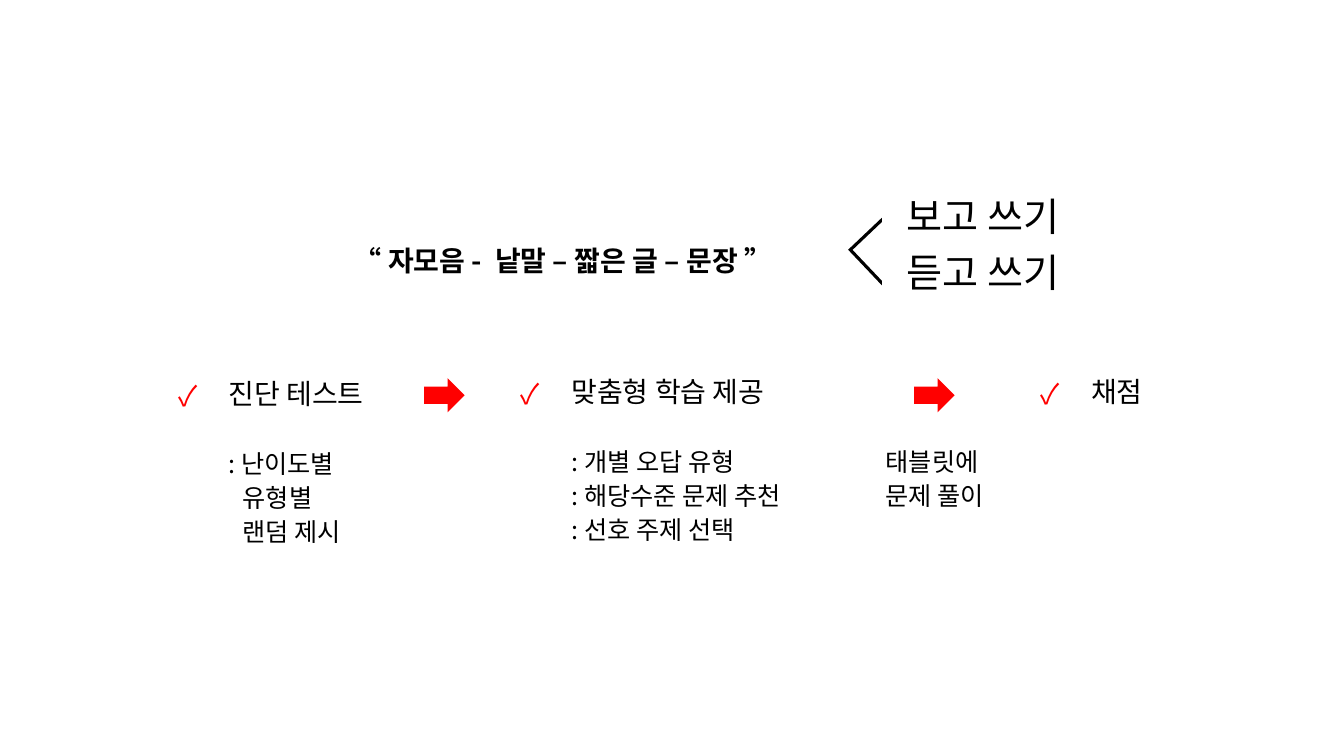
import pptx
import pptx.util
import pptx.dml.color
import pptx.enum.shapes
import pptx.enum.text
import pptx.oxml.ns
import lxml.etree

Cm, Pt = pptx.util.Cm, pptx.util.Pt
FONT, BLACK, RED = "Noto Sans CJK KR", "000000", "FF0000"
INDENT = Cm(1.27)
HANGING = Cm(0.36)

# Content: places are left, top, width, height in cm
SEQUENCE = "“ 자모음 -  낱말 – 짧은 글 – 문장 ”"
SEQUENCE_BOX = (7.39, 4.34, 22.58, 3.76)
MODES = ["보고 쓰기", "듣고 쓰기"]
MODES_BOX = (17.58, 4.85, 14.4, 2.9)
BRACKET_BOX = (21.64, 5.72, 1.17, 1.24)
# heading, place, details as (text, extra indent)
STEPS = [
    ("진단 테스트", (4.24, 9.47, 7.87, 5.41),
     [(": 난이도별", 0), ("유형별", HANGING), ("랜덤 제시", HANGING)]),
    ("맞춤형 학습 제공", (12.88, 9.42, 7.87, 5.41),
     [(": 개별 오답 유형", 0), (": 해당수준 문제 추천", 0), (": 선호 주제 선택", 0)]),
    ("채점", (25.98, 9.42, 7.87, 5.41), []),
]
SOLVING = ["태블릿에", "문제 풀이"]
SOLVING_BOX = (20.8, 11.2, 4.98, 2.4)
ARROW_LEFTS = (10.69, 23.04)
ARROW_TOP, ARROW_WIDTH, ARROW_HEIGHT = 9.53, 1.02, 0.86


def color(value):
    return pptx.dml.color.RGBColor.from_string(value)


def add_property(parent, name, **attributes):
    return lxml.etree.SubElement(parent, pptx.oxml.ns.qn(name), attributes)


def write(paragraph, text, size, before, margin=0, hanging=0, check=False, bold=False):
    paragraph.text = text
    paragraph.line_spacing = 0.9
    paragraph.space_before = Pt(before)
    properties = paragraph._p.get_or_add_pPr()
    properties.set("marL", str(margin))
    properties.set("indent", str(-hanging))
    if check:
        bullet_color = add_property(properties, "a:buClr")
        add_property(bullet_color, "a:srgbClr", val=RED)
        add_property(properties, "a:buFont", typeface=FONT)
        add_property(properties, "a:buChar", char="✓")
    else:
        add_property(properties, "a:buNone")
    for run in paragraph.runs:
        run.font.name = FONT
        run.font.size = Pt(size)
        run.font.bold = bold
        run.font.color.rgb = color(BLACK)
        add_property(run._r.get_or_add_rPr(), "a:ea", typeface=FONT)


def add_text_box(place):
    frame = slide.shapes.add_textbox(*map(Cm, place)).text_frame
    frame.word_wrap = True
    return frame


def paragraphs(frame, count):
    while len(frame.paragraphs) < count:
        frame.add_paragraph()
    return frame.paragraphs


def add_solid(kind, place, fill):
    shape = slide.shapes.add_shape(kind, *map(Cm, place))
    shape.shadow.inherit = False
    shape.fill.solid()
    shape.fill.fore_color.rgb = color(fill)
    shape.line.fill.background()
    return shape


presentation = pptx.Presentation()
presentation.slide_width, presentation.slide_height = Cm(33.87), Cm(19.05)
slide = presentation.slides.add_slide(presentation.slide_layouts[1])
title, body = slide.placeholders
title._element.getparent().remove(title._element)

# Learning sequence
body.left, body.top, body.width, body.height = map(Cm, SEQUENCE_BOX)
body.text_frame.vertical_anchor = pptx.enum.text.MSO_ANCHOR.BOTTOM
body.text_frame.margin_bottom = Cm(1.1)
write(body.text_frame.paragraphs[0], SEQUENCE, 20, 5, INDENT, bold=True)

# Writing modes with their bracket
for paragraph, mode in zip(paragraphs(add_text_box(MODES_BOX), len(MODES)), MODES):
    write(paragraph, mode, 28, 10)
    paragraph.alignment = pptx.enum.text.PP_ALIGN.CENTER
bracket = add_solid(pptx.enum.shapes.MSO_SHAPE.HALF_FRAME, BRACKET_BOX, BLACK)
bracket.rotation = 316.5
bracket.adjustments[0] = bracket.adjustments[1] = 0.068

# Steps with check marks
for heading, place, details in STEPS:
    lines = paragraphs(add_text_box(place), 1 + len(details))
    write(lines[0], heading, 20, 10, INDENT, INDENT, check=True)
    for index, (detail, extra) in enumerate(details):
        write(lines[index + 1], detail, 18, 5 if index else 29, INDENT + extra)

# Solving on the tablet
for paragraph, line in zip(paragraphs(add_text_box(SOLVING_BOX), len(SOLVING)), SOLVING):
    write(paragraph, line, 18, 5, INDENT)

# Arrows between the steps
for left in ARROW_LEFTS:
    add_solid(pptx.enum.shapes.MSO_SHAPE.RIGHT_ARROW,
              (left, ARROW_TOP, ARROW_WIDTH, ARROW_HEIGHT), RED)

presentation.save("out.pptx")
